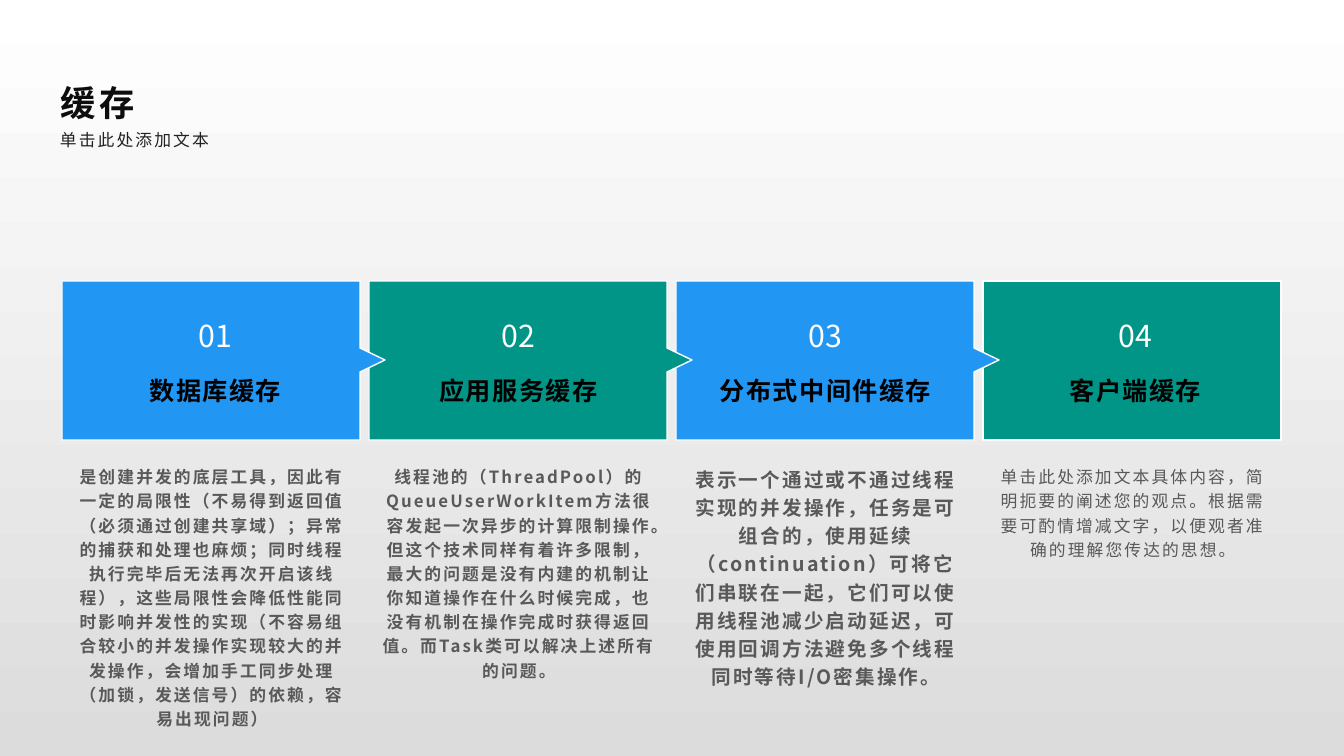
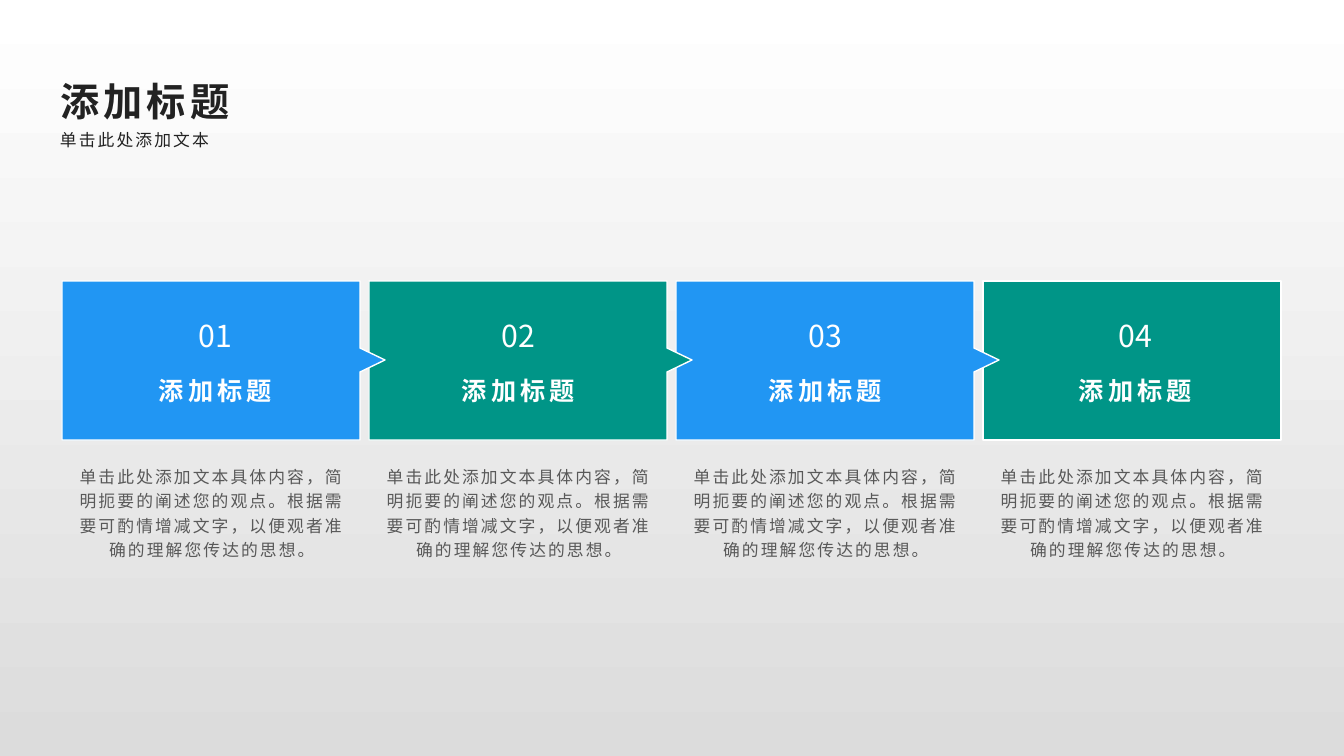
from collections import namedtuple

from lxml.etree import SubElement
from pptx import Presentation
from pptx.dml.color import RGBColor
from pptx.enum.text import MSO_ANCHOR as Anchor, MSO_AUTO_SIZE as AutoSize, PP_ALIGN as Align
from pptx.oxml.ns import qn
from pptx.util import Emu, Pt

SLIDE_WIDTH, SLIDE_HEIGHT = 1344, 756
SCALE = 12192000 / SLIDE_WIDTH

WHITE = RGBColor(0xFF, 0xFF, 0xFF)
BLACK = RGBColor(0x00, 0x00, 0x00)
LIGHT_GRAY = RGBColor(0xDC, 0xDC, 0xDC)
BODY_GRAY = RGBColor(0x59, 0x59, 0x59)
DARK = RGBColor(0x22, 0x22, 0x22)
NEAR_BLACK = RGBColor(0x0D, 0x0D, 0x0D)
BLUE = RGBColor(0x21, 0x96, 0xF3)
GREEN = RGBColor(0x00, 0x95, 0x87)

FONT = "Noto Sans CJK SC"
CARD_COLORS = (BLUE, GREEN, BLUE, GREEN)
LABEL_LEFTS = (23, 19, 19, 22)
CARDS_LEFT, CARDS_TOP, CARD_PITCH = 62, 281, 307
CARD_WIDTH, CARD_HEIGHT = 298, 159
POINTER_WIDTH, POINTER_HALF = 25, 12

Style = namedtuple("Style", "size color bold spacing line_spacing", defaults=(False, 0, 1.0))
SUBTITLE_STYLE = Style(12, DARK, False, 1.5, 1.2)
NUMBER_STYLE = Style(21.6, WHITE)
PLAIN_BODY = Style(12, BODY_GRAY, False, 1.5, 1.2)
BOLD_BODY = PLAIN_BODY._replace(bold=True)
LARGE_BODY = BOLD_BODY._replace(size=14)

SUBTITLE = "单击此处添加文本"
PROMPT_TITLE = "添加标题"
PROMPT_BODY = "单击此处添加文本具体内容，简明扼要的阐述您的观点。根据需要可酌情增减文字，以便观者准确的理解您传达的思想。"

CACHE_CARDS = [
    ("数据库缓存",
     "是创建并发的底层工具，因此有一定的局限性（不易得到返回值（必须通过创建共享域）；异常的捕获和处理也麻烦；"
     "同时线程执行完毕后无法再次开启该线程），这些局限性会降低性能同时影响并发性的实现（不容易组合较小的并发操作"
     "实现较大的并发操作，会增加手工同步处理（加锁，发送信号）的依赖，容易出现问题）", BOLD_BODY),
    ("应用服务缓存",
     "线程池的（ThreadPool）的QueueUserWorkItem方法很容发起一次异步的计算限制操作。但这个技术同样有着许多限制，"
     "最大的问题是没有内建的机制让你知道操作在什么时候完成，也没有机制在操作完成时获得返回值。"
     "而Task类可以解决上述所有的问题。", BOLD_BODY),
    ("分布式中间件缓存",
     "表示一个通过或不通过线程实现的并发操作，任务是可组合的，使用延续（continuation）可将它们串联在一起，"
     "它们可以使用线程池减少启动延迟，可使用回调方法避免多个线程同时等待I/O密集操作。", LARGE_BODY),
    ("客户端缓存", PROMPT_BODY, PLAIN_BODY),
]
PROMPT_CARDS = [(PROMPT_TITLE, PROMPT_BODY, PLAIN_BODY)] * len(CARD_COLORS)


def px(length):
    return Emu(round(length * SCALE))


def write_text(shape, text, style, align=Align.LEFT, anchor=Anchor.TOP, top=5, bottom=5):
    frame = shape.text_frame
    frame.word_wrap = True
    frame.auto_size = AutoSize.NONE
    frame.vertical_anchor = anchor
    frame.margin_left = frame.margin_right = px(10)
    frame.margin_top, frame.margin_bottom = px(top), px(bottom)
    paragraph = frame.paragraphs[0]
    paragraph.alignment = align
    paragraph.line_spacing = style.line_spacing
    run = paragraph.add_run()
    run.text = text
    run.font.name = FONT
    run.font.size = Pt(style.size)
    run.font.bold = style.bold
    run.font.color.rgb = style.color
    properties = run._r.get_or_add_rPr()
    properties.set("lang", "zh-CN")
    properties.set("spc", str(round(style.spacing * 100)))
    SubElement(properties, qn("a:ea")).set("typeface", FONT)


def add_text(slide, box, text, style, **options):
    shape = slide.shapes.add_textbox(*map(px, box))
    write_text(shape, text, style, **options)


def add_heading(slide, left, top, title, title_style):
    shape = slide.shapes.title
    shape.left, shape.top, shape.width, shape.height = map(px, (left, top, 1210, 57))
    write_text(shape, title, title_style, bottom=0)
    add_text(slide, (left, top + 58, 1210, 34), SUBTITLE, SUBTITLE_STYLE, top=0)


def add_card_outline(slide, left, top, color, has_pointer):
    right, bottom, middle = left + CARD_WIDTH, top + CARD_HEIGHT, top + CARD_HEIGHT // 2
    pointer = [
        (right, middle - POINTER_HALF),
        (right + POINTER_WIDTH, middle),
        (right, middle + POINTER_HALF),
    ] if has_pointer else []
    builder = slide.shapes.build_freeform(left, top, scale=SCALE)
    builder.add_line_segments([(right, top), *pointer, (right, bottom), (left, bottom)])
    shape = builder.convert_to_shape()
    shape.shadow.inherit = False
    shape.fill.solid()
    shape.fill.fore_color.rgb = color
    shape.line.color.rgb = WHITE
    shape.line.width = Pt(1)


def add_card(slide, left, top, index, card, name_style):
    name, body, body_style = card
    is_last = index == len(CARD_COLORS) - 1
    add_card_outline(slide, left, top, CARD_COLORS[index], not is_last)
    label_left = left + LABEL_LEFTS[index]
    add_text(slide, (label_left, top + 82, 261, 50), name, name_style,
             align=Align.CENTER, anchor=Anchor.MIDDLE, bottom=0)
    add_text(slide, (label_left, top + 31, 261, 50), f"{index + 1:02}", NUMBER_STYLE,
             align=Align.CENTER)
    add_text(slide, (left, top + 182, 300, 224), body, body_style, align=Align.CENTER, top=0)


def add_cards_slide(presentation, title, title_style, cards, name_style):
    slide = presentation.slides.add_slide(presentation.slide_layouts[5])
    add_heading(slide, 50, 68, title, title_style)
    for index, card in reversed(list(enumerate(cards))):
        add_card(slide, CARDS_LEFT + index * CARD_PITCH, CARDS_TOP, index, card, name_style)


def set_background(presentation):
    fill = presentation.slide_master.background.fill
    fill.gradient()
    fill.gradient_angle = 270
    for stop, position, color in zip(fill.gradient_stops, (0, 1), (WHITE, LIGHT_GRAY)):
        stop.position = position
        stop.color.rgb = color


def main():
    presentation = Presentation()
    presentation.slide_width, presentation.slide_height = px(SLIDE_WIDTH), px(SLIDE_HEIGHT)
    set_background(presentation)
    add_cards_slide(presentation, "缓存", Style(25.2, NEAR_BLACK, True, 3, 1.2),
                    CACHE_CARDS, Style(18, BLACK, True, 1))
    add_cards_slide(presentation, PROMPT_TITLE, Style(28, DARK, True, 3, 1.1),
                    PROMPT_CARDS, Style(18, WHITE, True, 3))
    presentation.save("out.pptx")


if __name__ == "__main__":
    main()
